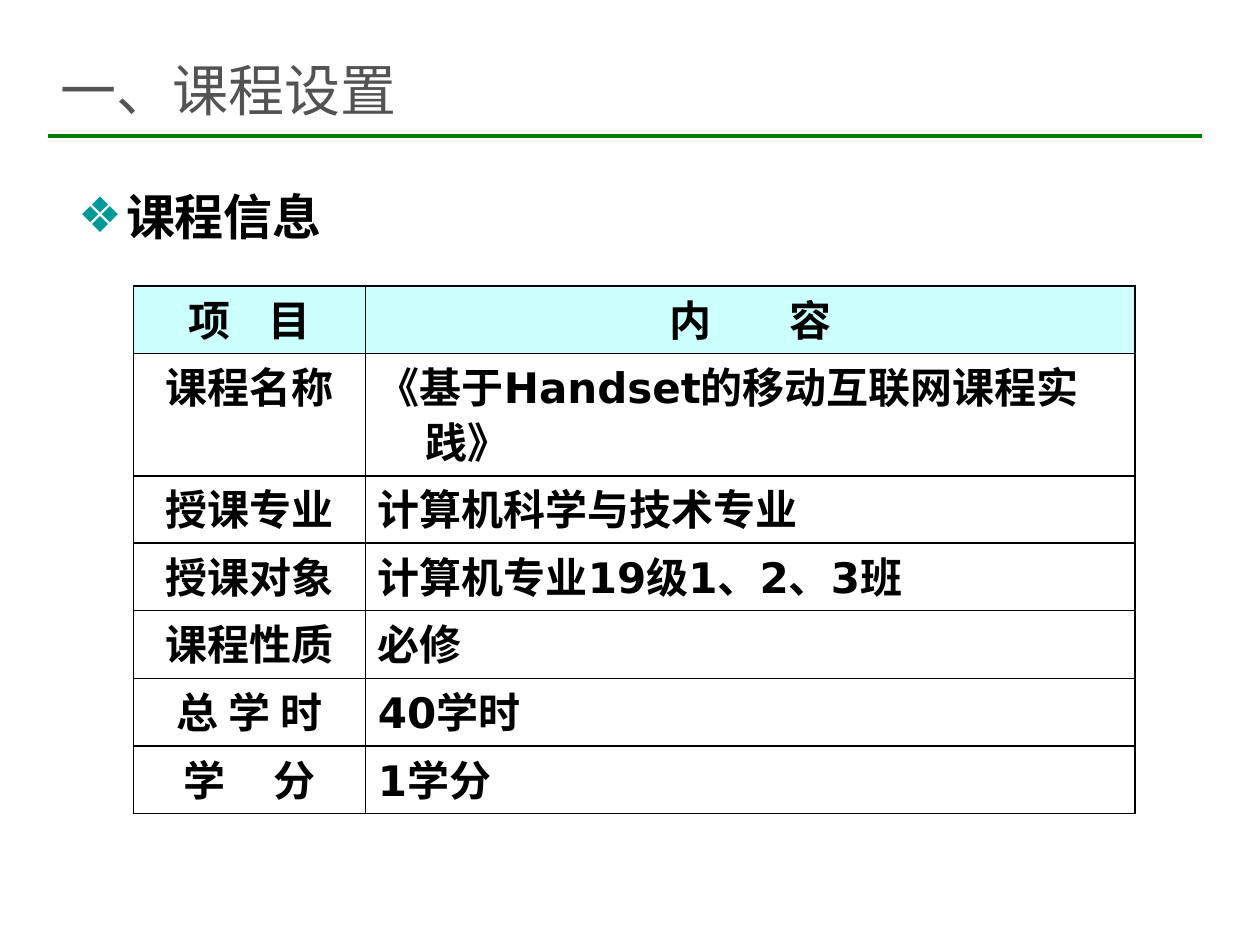
from lxml.etree import SubElement
from pptx import Presentation
from pptx.dml.color import RGBColor
from pptx.enum.shapes import MSO_CONNECTOR as Conn
from pptx.enum.text import MSO_ANCHOR as Anchor, MSO_AUTO_SIZE as AutoSize, PP_ALIGN as Align
from pptx.oxml.ns import qn
from pptx.util import Inches, Pt

COLORS = {"title": "535353", "text": "000000", "rule": "008000",
          "bullet": "009999", "header": "CCFFFF", "border": "000000"}
LATIN, CJK = "DejaVu Sans", "Noto Sans CJK SC"
HANG = Inches(0.38)

COL_WIDTHS = [1.84, 6.11]
ROW_HEIGHTS = [0.51, 0.51, 0.51, 0.52, 0.54, 0.52, 0.51]
ROWS = [
    ("项 目", "内 容"),
    ("课程名称", "《基于Handset的移动互联网课程实践》"),
    ("授课专业", "计算机科学与技术专业"),
    ("授课对象", "计算机专业19级1、2、3班"),
    ("课程性质", "必修"),
    ("总 学 时", "40学时"),
    ("学 分", "1学分"),
]
# Letter spacing in points that widens the gap inside a two-character label
SPREAD = {"项 目": 8, "内 容": 19.5, "学 分": 11}


def rgb(name):
    return RGBColor.from_string(COLORS[name])


def add_fill(parent, color):
    fill = SubElement(parent, qn("a:solidFill"))
    SubElement(fill, qn("a:srgbClr"), val=COLORS[color])


class SlideBuilder:
    def __init__(self, prs, layout):
        self.s = prs.slides.add_slide(layout)

    def run(self, p, text, size, color="text", font=LATIN, bold=True, spacing=0):
        r = p.add_run()
        r.text = text
        for name, value in {"size": Pt(size), "bold": bold, "name": font}.items():
            setattr(r.font, name, value)
        r.font.color.rgb = rgb(color)
        rPr = r.font._element
        SubElement(rPr, qn("a:ea"), typeface=CJK)
        if spacing:
            rPr.set("spc", str(int(spacing * 100)))

    def hang(self, p):
        pPr = p._p.get_or_add_pPr()
        pPr.set("marL", str(HANG))
        pPr.set("indent", str(-HANG))
        return pPr

    def placeholder(self, idx, box, anchor):
        sp = self.s.placeholders[idx]
        sp.left, sp.top, sp.width, sp.height = map(Inches, box)
        tf = sp.text_frame
        for name, value in {"auto_size": AutoSize.NONE, "word_wrap": True,
                            "vertical_anchor": anchor}.items():
            setattr(tf, name, value)
        p = tf.paragraphs[0]
        p.alignment = Align.LEFT
        return p

    def title(self, text, box):
        p = self.placeholder(0, box, Anchor.MIDDLE)
        self.run(p, text, 32, "title", CJK, bold=False)

    def bullet(self, text, box):
        p = self.placeholder(1, box, Anchor.TOP)
        p.line_spacing = 0.8
        p.space_before = Pt(5.6)
        pPr = self.hang(p)
        color = SubElement(pPr, qn("a:buClr"))
        SubElement(color, qn("a:srgbClr"), val=COLORS["bullet"])
        SubElement(pPr, qn("a:buFont"), typeface=LATIN)
        SubElement(pPr, qn("a:buChar"), char="❖")
        self.run(p, text, 28)

    def rule(self, x1, x2, y):
        line = self.s.shapes.add_connector(
            Conn.STRAIGHT, Inches(x1), Inches(y), Inches(x2), Inches(y))
        line.line.color.rgb = rgb("rule")
        line.line.width = Pt(2)
        SubElement(line._element.spPr, qn("a:effectLst"))

    def borders(self, cell):
        tcPr = cell._tc.get_or_add_tcPr()
        for side in "LRTB":
            ln = SubElement(tcPr, qn(f"a:ln{side}"), w=str(Pt(1)))
            add_fill(ln, "border")

    def cell(self, cell, text, header, centered):
        self.borders(cell)
        if header:
            cell.fill.solid()
            cell.fill.fore_color.rgb = rgb("header")
        else:
            cell.fill.background()
        p = cell.text_frame.paragraphs[0]
        p.alignment = Align.CENTER if centered else Align.LEFT
        p.line_spacing = 0.9
        self.hang(p)
        if text in SPREAD:
            self.run(p, text[:-1], 24, spacing=SPREAD[text])
            text = text[-1]
        self.run(p, text, 24)

    def table(self, rows, left, top):
        table = self.s.shapes.add_table(
            len(rows), len(COL_WIDTHS), Inches(left), Inches(top),
            Inches(sum(COL_WIDTHS)), Inches(sum(ROW_HEIGHTS))).table
        table.first_row = table.horz_banding = False
        for col, width in zip(table.columns, COL_WIDTHS):
            col.width = Inches(width)
        for row, height in zip(table.rows, ROW_HEIGHTS):
            row.height = Inches(height)
        for i, texts in enumerate(rows):
            for j, text in enumerate(texts):
                self.cell(table.cell(i, j), text, i == 0, i == 0 or j == 0)


def main():
    prs = Presentation()
    prs.slide_width, prs.slide_height = Inches(10), Inches(7.5)
    slide = SlideBuilder(prs, prs.slide_layouts[1])
    slide.rule(0.38, 9.54, 1.08)
    slide.table(ROWS, 1.06, 2.27)
    slide.title("一、课程设置", (0.38, 0.25, 9.21, 0.92))
    slide.bullet("课程信息", (0.52, 1.52, 8.95, 0.73))
    prs.save("out.pptx")


if __name__ == "__main__":
    main()
